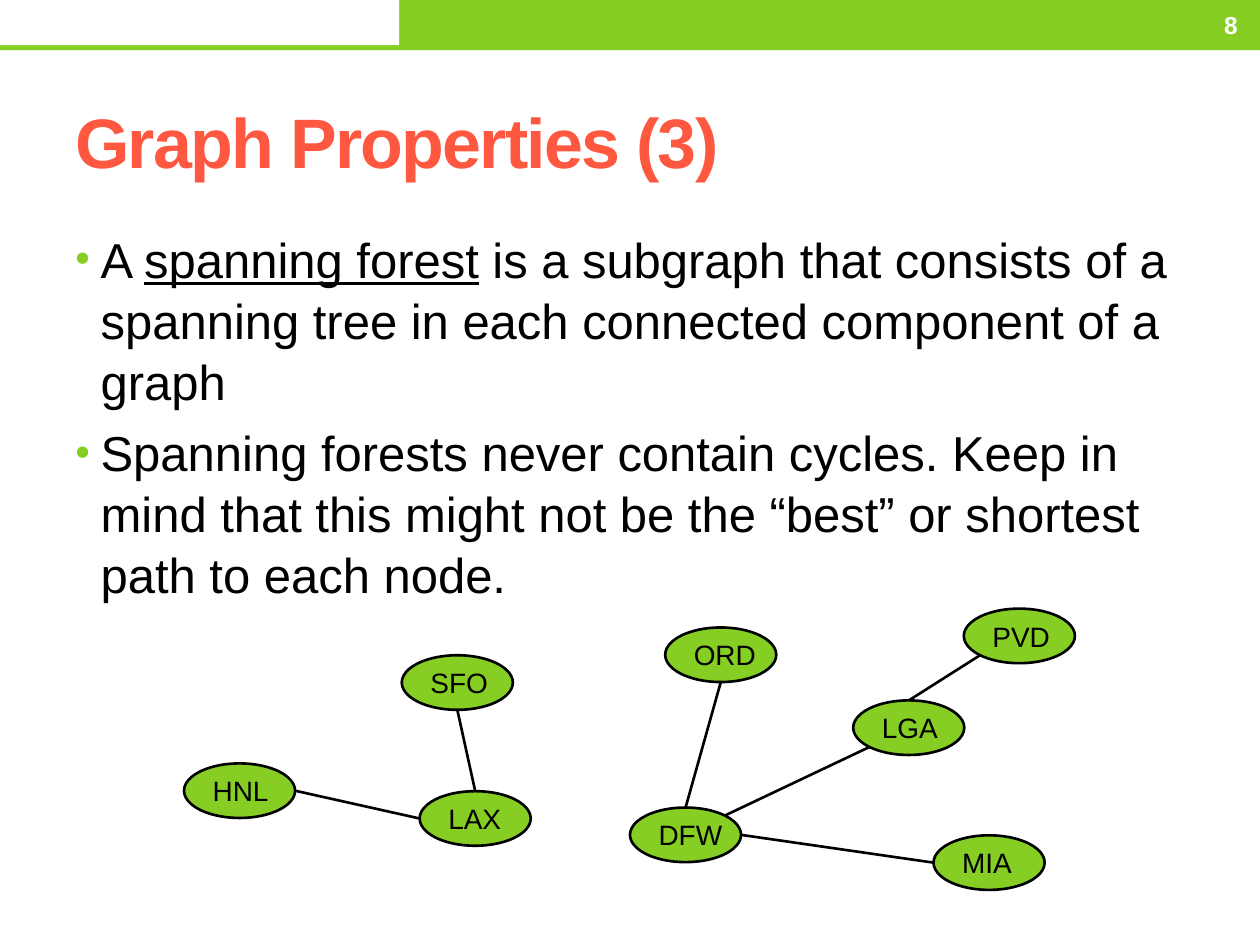
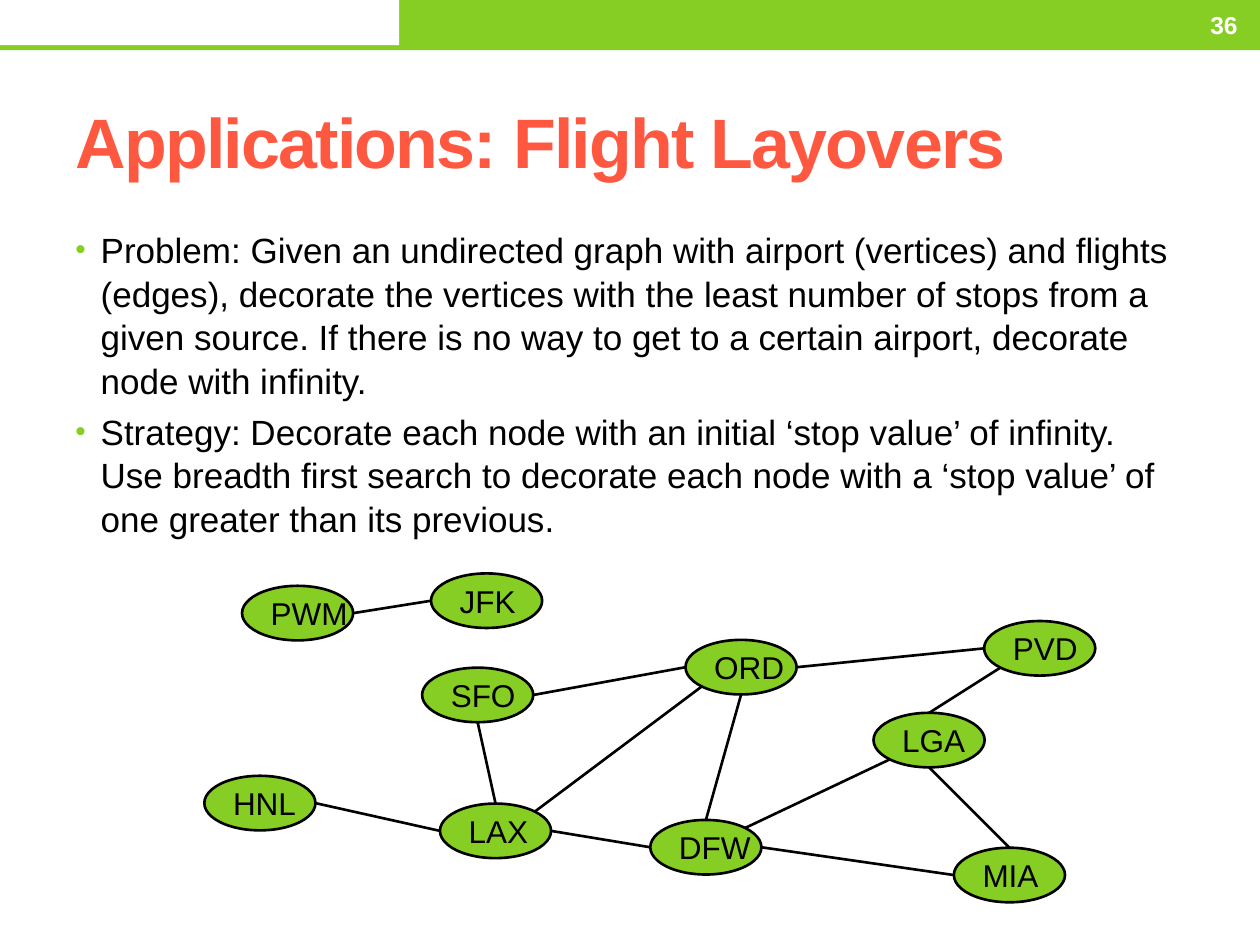
from math import sqrt

from lxml import etree
from pptx import Presentation
from pptx.dml.color import RGBColor
from pptx.enum.shapes import MSO_CONNECTOR as Connector, MSO_SHAPE as Shape
from pptx.enum.text import MSO_ANCHOR as Anchor, PP_ALIGN as Align
from pptx.oxml.ns import qn
from pptx.util import Cm, Pt

FONT = "Arial"
COLORS = {
    "green": "86CE24",
    "coral": "FF5840",
    "black": "000000",
    "white": "FFFFFF",
}

# Left and top of each airport node, in cm
AIRPORTS = {
    "ORD": (13.41, 12.65),
    "PVD": (19.43, 12.27),
    "MIA": (18.82, 16.84),
    "DFW": (12.7, 16.28),
    "SFO": (8.1, 13.21),
    "LAX": (8.46, 15.95),
    "LGA": (17.2, 14.12),
    "HNL": (3.71, 15.39),
    "PWM": (4.47, 11.56),
    "JFK": (8.28, 11.31),
}
NODE_WIDTH, NODE_HEIGHT = 2.24, 1.1

# Each flight joins a compass point of one airport to one of another
FOREST_FLIGHTS = [
    ("DFW", "N", "ORD", "S"),
    ("DFW", "NE", "LGA", "SW"),
    ("LGA", "N", "PVD", "SW"),
    ("HNL", "E", "LAX", "W"),
    ("SFO", "S", "LAX", "N"),
    ("MIA", "W", "DFW", "E"),
]
OTHER_FLIGHTS = [
    ("SFO", "E", "ORD", "W"),
    ("ORD", "E", "PVD", "W"),
    ("LGA", "S", "MIA", "N"),
    ("LAX", "E", "DFW", "W"),
    ("LAX", "NE", "ORD", "SW"),
    ("PWM", "E", "JFK", "W"),
]

# Bullets are lists of (text, underlined)
SLIDES = [
    {
        "number": "8",
        "title": "Graph Properties (3)",
        "bullets": [
            [
                ("A ", False),
                ("spanning forest", True),
                (" is a subgraph that consists of a spanning tree in each "
                 "connected component of a graph", False),
            ],
            [("Spanning forests never contain cycles. Keep in mind that this "
              "might not be the “best” or shortest path to each node.", False)],
        ],
        "bullet_size": 28,
        "airports": list(AIRPORTS)[:8],
        "flights": FOREST_FLIGHTS,
        "label_size": 16,
        "offset": (0, 0),
    },
    {
        "number": "36",
        "title": "Applications: Flight Layovers",
        "bullets": [
            [("Problem: Given an undirected graph with airport (vertices) and "
              "flights (edges), decorate the vertices with the least number of "
              "stops from a given source. If there is no way to get to a certain "
              "airport, decorate node with infinity.", False)],
            [("Strategy: Decorate each node with an initial ‘stop value’ of "
              "infinity. Use breadth first search to decorate each node with a "
              "‘stop value’ of one greater than its previous.", False)],
        ],
        "bullet_size": 20,
        "airports": list(AIRPORTS),
        "flights": FOREST_FLIGHTS + OTHER_FLIGHTS,
        "label_size": 18,
        "offset": (0.41, 0.25),
    },
]


def rgb(color):
    return RGBColor.from_string(COLORS[color])


def style(run, size, color, bold=False):
    run.font.name = FONT
    run.font.size = Pt(size)
    run.font.bold = bold
    run.font.color.rgb = rgb(color)


def add_filled(shapes, kind, box, color):
    shape = shapes.add_shape(kind, *map(Cm, box))
    shape.shadow.inherit = False
    shape.fill.solid()
    shape.fill.fore_color.rgb = rgb(color)
    shape.line.fill.background()
    return shape


def add_frame(slide, box, anchor):
    frame = slide.shapes.add_textbox(*map(Cm, box)).text_frame
    frame.word_wrap = True
    frame.vertical_anchor = anchor
    return frame


def add_line_of_text(slide, box, text, size, color):
    """Add one bold, vertically centred line and return its paragraph."""
    paragraph = add_frame(slide, box, Anchor.MIDDLE).paragraphs[0]
    paragraph.text = text
    style(paragraph.runs[0], size, color, bold=True)
    return paragraph


def add_header(slide, title, number):
    add_filled(slide.shapes, Shape.RECTANGLE, (0, 0, 25.4, 1.01), "green")
    add_filled(slide.shapes, Shape.RECTANGLE, (0, 0, 8.05, 0.91), "white")
    heading = add_line_of_text(slide, (1.27, 1.47, 22.86, 2.74), title, 40, "coral")
    heading.runs[0].font._element.set("spc", "-100")
    page = add_line_of_text(slide, (22.23, 0.05, 2.97, 0.91), number, 14, "white")
    page.alignment = Align.RIGHT


def set_bullet(paragraph):
    indent = Cm(0.51)
    props = paragraph._p.get_or_add_pPr()
    props.set("marL", str(indent))
    props.set("indent", str(-indent))
    color = etree.SubElement(props, qn("a:buClr"))
    etree.SubElement(color, qn("a:srgbClr"), val=COLORS["green"])
    etree.SubElement(props, qn("a:buSzPct"), val="85000")
    etree.SubElement(props, qn("a:buFont"), typeface=FONT)
    etree.SubElement(props, qn("a:buChar"), char="•")


def add_bullets(slide, bullets, size):
    frame = add_frame(slide, (1.27, 4.45, 22.86, 13.54), Anchor.TOP)
    for index, bullet in enumerate(bullets):
        paragraph = frame.add_paragraph() if index else frame.paragraphs[0]
        paragraph.line_spacing = 1.04
        if index:
            paragraph.space_before = Pt(size * 0.2)
        set_bullet(paragraph)
        for text, underlined in bullet:
            run = paragraph.add_run()
            run.text = text
            style(run, size, "black")
            run.font.underline = underlined


def compass_point(corner, direction):
    """Return the point of a node's outline that lies in a compass direction."""
    across = ("E" in direction) - ("W" in direction)
    down = ("S" in direction) - ("N" in direction)
    reach = 1 / sqrt(across ** 2 + down ** 2)
    left, top = corner
    return (Cm(left + NODE_WIDTH / 2 * (1 + across * reach)),
            Cm(top + NODE_HEIGHT / 2 * (1 + down * reach)))


def outline(line):
    line.color.rgb = rgb("black")
    line.width = Pt(1.5)


def add_flight_map(slide, airports, flights, label_size, offset):
    shapes = slide.shapes.add_group_shape().shapes
    corners = {code: (AIRPORTS[code][0] + offset[0], AIRPORTS[code][1] + offset[1])
               for code in airports}
    for code, corner in corners.items():
        node = add_filled(shapes, Shape.OVAL, (*corner, NODE_WIDTH, NODE_HEIGHT), "green")
        outline(node.line)
        frame = node.text_frame
        frame.text = code
        frame.word_wrap = False
        frame.vertical_anchor = Anchor.MIDDLE
        frame.paragraphs[0].alignment = Align.LEFT
        style(frame.paragraphs[0].runs[0], label_size, "black")
    for origin, leaving, target, arriving in flights:
        flight = shapes.add_connector(
            Connector.STRAIGHT,
            *compass_point(corners[origin], leaving),
            *compass_point(corners[target], arriving))
        outline(flight.line)
        etree.SubElement(flight._element.spPr, qn("a:effectLst"))


def main():
    deck = Presentation()
    deck.slide_width, deck.slide_height = Cm(25.4), Cm(19.05)
    blank = deck.slide_layouts[6]
    for content in SLIDES:
        slide = deck.slides.add_slide(blank)
        add_header(slide, content["title"], content["number"])
        add_bullets(slide, content["bullets"], content["bullet_size"])
        add_flight_map(slide, content["airports"], content["flights"],
                       content["label_size"], content["offset"])
    deck.save("out.pptx")


if __name__ == "__main__":
    main()
